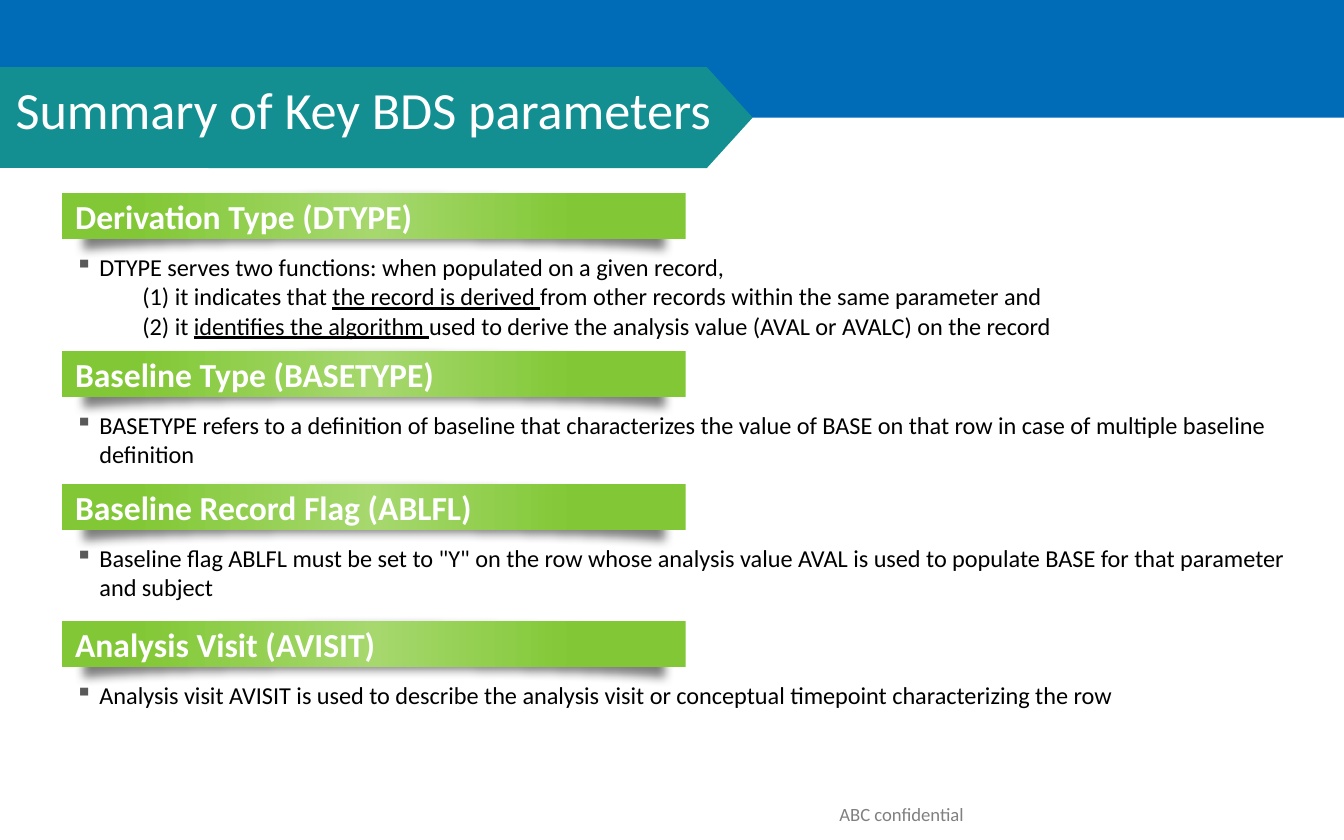
from pptx import Presentation
from pptx.dml.color import RGBColor
from pptx.enum.shapes import MSO_SHAPE as Preset
from pptx.enum.text import MSO_ANCHOR as Anchor, PP_ALIGN as Align
from pptx.oxml import parse_xml
from pptx.oxml.ns import nsdecls, qn
from pptx.util import Pt

BLUE = RGBColor(0x00, 0x6B, 0xB6)
TEAL = RGBColor(0x13, 0x8F, 0x91)
GREEN = RGBColor(0x82, 0xC8, 0x36)
LIGHT_GREEN = RGBColor(0xA6, 0xD8, 0x6E)
GREY = RGBColor(0x80, 0x80, 0x80)
BULLET_GREY = RGBColor(0x59, 0x59, 0x59)
WHITE = RGBColor(0xFF, 0xFF, 0xFF)
BLACK = RGBColor(0x00, 0x00, 0x00)

# Heading, top of its bar, bullet, and sub-lines as (plain, underlined, plain)
SECTIONS = [
    ("Derivation Type (DTYPE)", 103.5,
     "DTYPE serves two functions: when populated on a given record,",
     [("(1) it indicates that ", "the record is derived ",
       "from other records within the same parameter and"),
      ("(2) it ", "identifies the algorithm ",
       "used to derive the analysis value (AVAL or AVALC) on the record")]),
    ("Baseline Type (BASETYPE)", 188,
     "BASETYPE refers to a definition of baseline that characterizes the value "
     "of BASE on that row in case of multiple baseline definition", []),
    ("Baseline Record Flag (ABLFL)", 259.3,
     'Baseline flag ABLFL must be set to "Y" on the row whose analysis value '
     "AVAL is used to populate BASE for that parameter and subject", []),
    ("Analysis Visit (AVISIT)", 332.7,
     "Analysis visit AVISIT is used to describe the analysis visit or "
     "conceptual timepoint characterizing the row", []),
]
LEFT, BAR_WIDTH, BAR_HEIGHT = 33.2, 334.2, 24.6
SHADOW_WIDTH, SHADOW_HEIGHT = 39.6, 321


def write(paragraph, text, size, color=BLACK, bold=False, underline=False):
    run = paragraph.add_run()
    run.text = text
    run.font.name = "Calibri"
    run.font.size = Pt(size)
    run.font.color.rgb = color
    run.font.bold = bold
    run.font.underline = underline


def paint(shape, color):
    shape.shadow.inherit = False
    shape.fill.solid()
    shape.fill.fore_color.rgb = color
    shape.line.fill.background()


presentation = Presentation()
presentation.slide_width, presentation.slide_height = Pt(720), Pt(450)
slide = presentation.slides.add_slide(presentation.slide_layouts[6])
shapes = slide.shapes

# Header band and title arrow
paint(shapes.add_shape(Preset.RECTANGLE, 0, 0, Pt(720), Pt(63)), BLUE)
paint(shapes.add_shape(Preset.RECTANGLE, 0, Pt(36), Pt(177), Pt(54)), TEAL)
builder = shapes.build_freeform(Pt(111.6), Pt(36))
builder.add_line_segments([(Pt(x), Pt(y)) for x, y in
                           [(378.7, 36), (403.2, 63), (378.7, 90), (111.6, 90)]])
paint(builder.convert_to_shape(), TEAL)

# Title
title = shapes.add_textbox(Pt(1.3), Pt(36.7), Pt(670), Pt(42.5)).text_frame
title.word_wrap = True
title.vertical_anchor = Anchor.MIDDLE
write(title.paragraphs[0], "Summary of Key BDS parameters", 28, WHITE)

for heading, top, bullet, sublines in SECTIONS:
    # Soft curved shadow under the bar, turned on its side
    group = shapes.add_group_shape()
    shadow = group.shapes.add_shape(
        Preset.FLOWCHART_STORED_DATA, Pt(200.5 - SHADOW_WIDTH / 2),
        Pt(top + 17.5 - SHADOW_HEIGHT / 2), Pt(SHADOW_WIDTH), Pt(SHADOW_HEIGHT))
    shadow.rotation = 90
    paint(shadow, GREY)
    effects = shadow._element.spPr.find(qn("a:effectLst"))
    effects.append(parse_xml(f'<a:softEdge {nsdecls("a")} rad="{Pt(5)}"/>'))

    # Heading bar with a light middle
    bar = group.shapes.add_shape(
        Preset.RECTANGLE, Pt(LEFT), Pt(top), Pt(BAR_WIDTH), Pt(BAR_HEIGHT))
    paint(bar, GREEN)
    bar.fill.gradient()
    bar.fill.gradient_angle = 180
    stops = bar._element.spPr.find(qn("a:gradFill")).find(qn("a:gsLst"))
    for stop in list(stops):
        stops.remove(stop)
    for percent, color in [(18, GREEN), (50, LIGHT_GREEN), (88, GREEN)]:
        stops.append(parse_xml(
            f'<a:gs {nsdecls("a")} pos="{percent * 1000}">'
            f'<a:srgbClr val="{color}"/></a:gs>'))
    bar.text_frame.vertical_anchor = Anchor.MIDDLE
    bar.text_frame.paragraphs[0].alignment = Align.LEFT
    write(bar.text_frame.paragraphs[0], heading, 18, WHITE, bold=True)

    # Bulleted explanation
    height = 7.2 + 15.9 * (3 if sublines else 2)
    body = shapes.add_textbox(Pt(LEFT), Pt(top + 28.2), Pt(666), Pt(height)).text_frame
    body.word_wrap = True
    paragraph = body.paragraphs[0]
    properties = paragraph._p.get_or_add_pPr()
    properties.set("marL", str(Pt(13)))
    properties.set("indent", str(Pt(-13)))
    properties.append(parse_xml(
        f'<a:buClr {nsdecls("a")}><a:srgbClr val="{BULLET_GREY}"/></a:buClr>'))
    properties.append(parse_xml(f'<a:buChar {nsdecls("a")} char="▪"/>'))
    write(paragraph, bullet, 13)
    for before, key_phrase, after in sublines:
        paragraph = body.add_paragraph()
        paragraph.level = 1
        paragraph._p.get_or_add_pPr().set("marL", str(Pt(36)))
        paragraph._p.get_or_add_pPr().set("indent", "0")
        write(paragraph, before, 13)
        write(paragraph, key_phrase, 13, underline=True)
        write(paragraph, after, 13)

# Footer
footer = shapes.add_textbox(Pt(372), Pt(428), Pt(222), Pt(16.5)).text_frame
footer.word_wrap = False
footer.vertical_anchor = Anchor.MIDDLE
footer.paragraphs[0].alignment = Align.CENTER
write(footer.paragraphs[0], "ABC confidential", 10, GREY)

presentation.save("out.pptx")
